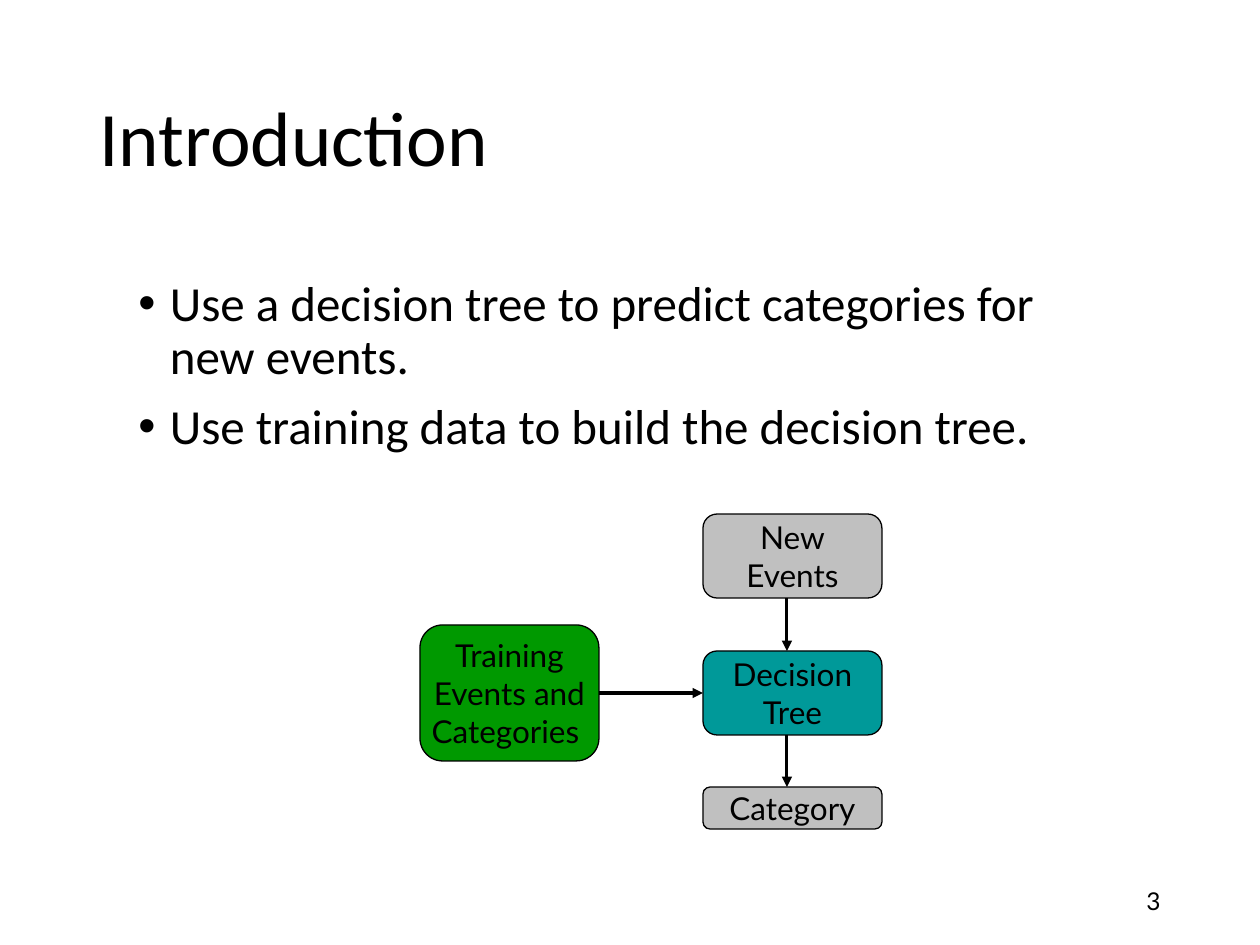
from lxml import etree
from pptx import Presentation
from pptx import util as u
from pptx.dml.color import RGBColor
from pptx.enum import shapes, text
from pptx.oxml import ns

PX_PER_INCH = 126
BLACK = RGBColor(0x00, 0x00, 0x00)
GRAY = RGBColor(0xC0, 0xC0, 0xC0)
TEAL = RGBColor(0x00, 0x99, 0x99)
GREEN = RGBColor(0x00, 0x99, 0x00)

BULLETS = [
    "Use a decision tree to predict categories for new events.",
    "Use training data to build the decision tree.",
]
NODES = [
    (["New", "Events"], GRAY, (703, 514, 179, 84)),
    (["Decision", "Tree"], TEAL, (703, 651, 179, 84)),
    (["Category"], GRAY, (703, 787, 179, 42)),
    (["Training", "Events and", "Categories "], GREEN, (420, 625, 179, 136)),
]
ARROWS = [
    (599, 693, 703, 693),
    (787, 598, 787, 651),
    (787, 735, 787, 787),
]


def px(*lengths):
    return [u.Emu(round(length * u.Inches(1) / PX_PER_INCH)) for length in lengths]


def set_bullet(paragraph, indent):
    properties = paragraph._p.get_or_add_pPr()
    properties.set("marL", str(indent))
    properties.set("indent", str(-indent))
    font = etree.SubElement(properties, ns.qn("a:buFont"))
    font.set("typeface", "Arial")
    etree.SubElement(properties, ns.qn("a:buChar")).set("char", "•")


def write_text(shape, lines, *, size, font="Lato", align=text.PP_ALIGN.LEFT,
               anchor=text.MSO_ANCHOR.MIDDLE, wrap=True, line_spacing=None,
               gap=0, bullet_indent=0):
    frame = shape.text_frame
    frame.word_wrap = wrap
    frame.auto_size = text.MSO_AUTO_SIZE.NONE
    frame.vertical_anchor = anchor
    for index, line in enumerate(lines):
        paragraph = frame.add_paragraph() if index else frame.paragraphs[0]
        if bullet_indent:
            set_bullet(paragraph, bullet_indent)
        paragraph.text = line
        paragraph.alignment = align
        paragraph.line_spacing = line_spacing
        if index and gap:
            paragraph.space_before = u.Pt(gap)
        paragraph.font.size = u.Pt(size)
        paragraph.font.name = font
        paragraph.font.color.rgb = BLACK


def place_title(slide, title):
    shape = slide.shapes.title
    shape.left, shape.top, shape.width, shape.height = px(87, 50, 1087, 183)
    write_text(shape, [title], size=44, font="Calibri", line_spacing=0.9)


def add_text(slide, box, lines, **text_format):
    write_text(slide.shapes.add_textbox(*px(*box)), lines, **text_format)


def add_node(slide, lines, fill, box):
    shape = slide.shapes.add_shape(shapes.MSO_SHAPE.ROUNDED_RECTANGLE, *px(*box))
    shape.shadow.inherit = False
    shape.fill.solid()
    shape.fill.fore_color.rgb = fill
    shape.line.color.rgb = BLACK
    shape.line.width = u.Pt(0.75)
    frame = shape.text_frame
    frame.margin_left = frame.margin_right = frame.margin_top = frame.margin_bottom = 0
    write_text(shape, lines, size=18, align=text.PP_ALIGN.CENTER, wrap=False)


def add_arrow(slide, ends):
    arrow = slide.shapes.add_connector(shapes.MSO_CONNECTOR.STRAIGHT, *px(*ends))
    arrow.line.color.rgb = BLACK
    arrow.line.width = u.Pt(1.75)
    etree.SubElement(arrow.line._get_or_add_ln(), ns.qn("a:tailEnd")).set("type", "triangle")
    etree.SubElement(arrow._element.spPr, ns.qn("a:effectLst"))


def main():
    presentation = Presentation()
    presentation.slide_width, presentation.slide_height = u.Inches(10), u.Inches(7.5)
    slide = presentation.slides.add_slide(presentation.slide_layouts[5])
    place_title(slide, "Introduction")
    add_text(slide, (126, 273, 1013, 205), BULLETS, size=28, font="Calibri",
             anchor=text.MSO_ANCHOR.TOP, line_spacing=0.9, gap=10,
             bullet_indent=u.Inches(0.25))
    add_text(slide, (890, 876, 283, 50), ["3"], size=14, align=text.PP_ALIGN.RIGHT)
    for lines, fill, box in NODES:
        add_node(slide, lines, fill, box)
    for ends in ARROWS:
        add_arrow(slide, ends)
    presentation.save("out.pptx")


if __name__ == "__main__":
    main()
